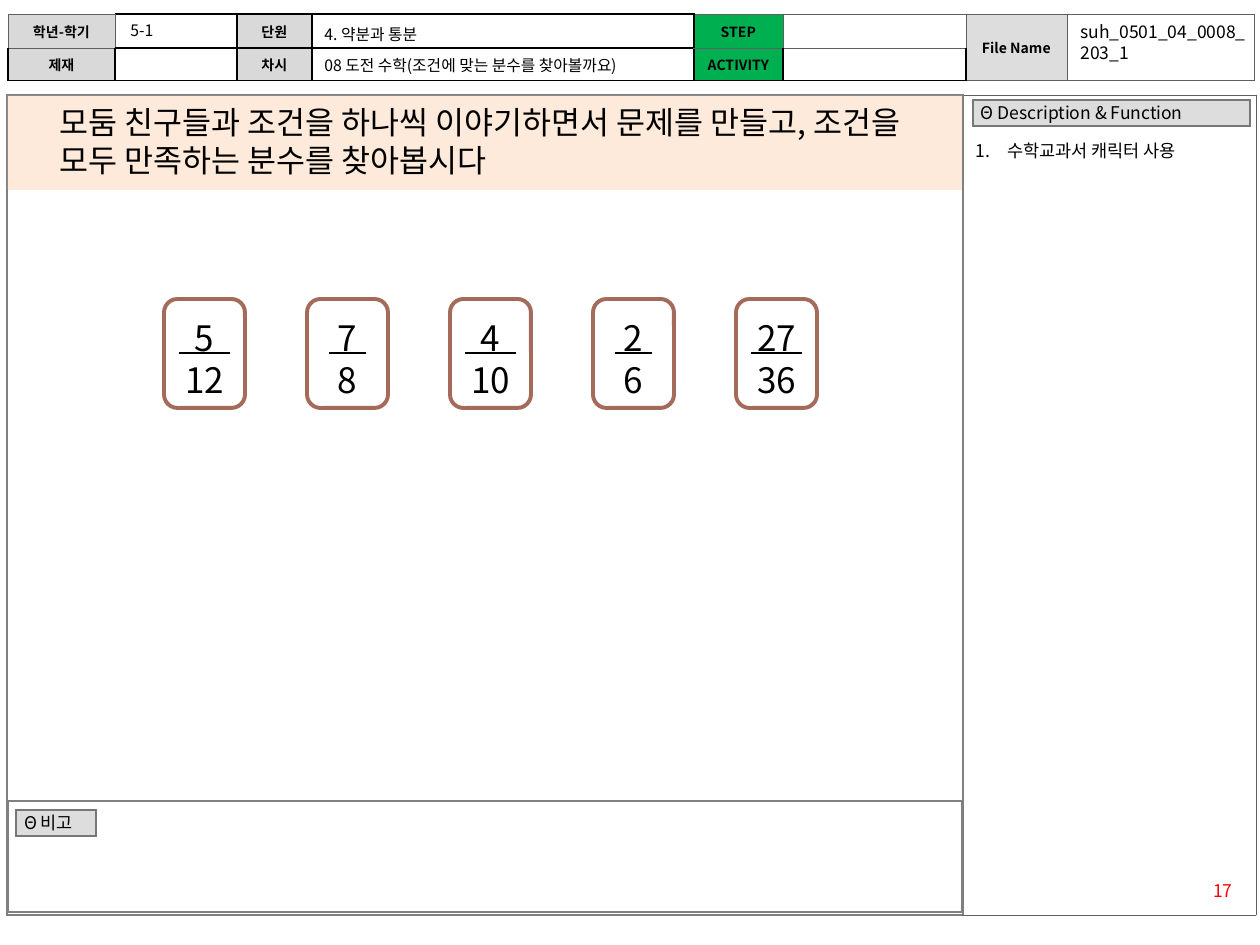
import pptx
import pptx.util
import pptx.dml.color
import pptx.enum.shapes
import pptx.enum.text
import pptx.oxml.ns
from lxml import etree

qn = pptx.oxml.ns.qn
ALIGN = pptx.enum.text.PP_ALIGN
MIDDLE = pptx.enum.text.MSO_ANCHOR.MIDDLE
SHAPE = pptx.enum.shapes.MSO_SHAPE
EMU_PER_PX = 914400 / 126
PLAIN_TABLE = "{2D5ABB26-0587-4C30-8999-92F81FD0307C}"


class Theme:
    font = "Noto Sans CJK KR"
    black, white, red = "000000", "FFFFFF", "FF0000"
    label, tag, green, peach, brown = "D9D9D9", "DDDDDD", "00B050", "FDEADA", "A46B5B"
    tiny, small, body, title, number = 8, 9, 10, 18, 20
    frame = ("808080", 1.5)
    tag_line = ("777777", 1)
    thin = ("5F5F5F", 0.25)
    rule = ("000000", 1)


def px(n):
    return pptx.util.Emu(round(n * EMU_PER_PX))


def rgb(value):
    return pptx.dml.color.RGBColor.from_string(value)


def write(tf, text, size, color=Theme.black, bold=False, **paragraph):
    p = tf.paragraphs[0]
    for name, value in paragraph.items():
        setattr(p, name, value)
    r = p.add_run()
    r.text = text
    for name, value in dict(size=pptx.util.Pt(size), name=Theme.font, bold=bold).items():
        setattr(r.font, name, value)
    r.font.color.rgb = rgb(color)
    etree.SubElement(r.font._element, qn("a:ea"), typeface=Theme.font)
    return p


def add_text(s, box, text, size, color=Theme.black, **paragraph):
    tf = s.shapes.add_textbox(*map(px, box)).text_frame
    tf.word_wrap = True
    return write(tf, text, size, color, **paragraph)


def add_panel(s, kind, box, fill, line=None):
    sp = s.shapes.add_shape(kind, *map(px, box))
    sp.shadow.inherit = False
    sp.fill.solid()
    sp.fill.fore_color.rgb = rgb(fill)
    if line:
        sp.line.color.rgb = rgb(line[0])
        sp.line.width = pptx.util.Pt(line[1])
    else:
        sp.line.fill.background()


def add_grid(s, x, y, cols, rows):
    """Add a table without a style, whose columns and rows have the given sizes."""
    table = s.shapes.add_table(len(rows), len(cols), px(x), px(y),
                               px(sum(cols)), px(sum(rows))).table
    table.first_row = table.horz_banding = False
    table._tbl.tblPr.find(qn("a:tableStyleId")).text = PLAIN_TABLE
    for col, width in zip(table.columns, cols):
        col.width = px(width)
    for row, height in zip(table.rows, rows):
        row.height = px(height)
    return table


def style_cell(cell, borders, fill=None, margins=(13, 6)):
    """Borders map the sides L, R, T and B to (colour, points)."""
    tc_pr = cell._tc.get_or_add_tcPr()
    for side in "LRTB":
        if side in borders:
            color, points = borders[side]
            ln = etree.SubElement(tc_pr, qn("a:ln" + side), w=str(pptx.util.Pt(points)))
            solid = etree.SubElement(ln, qn("a:solidFill"))
            etree.SubElement(solid, qn("a:srgbClr"), val=color)
    if fill:
        cell.fill.solid()
        cell.fill.fore_color.rgb = rgb(fill)
    else:
        cell.fill.background()
    cell.margin_left = cell.margin_right = px(margins[0])
    cell.margin_top = cell.margin_bottom = px(margins[1])


def shrink_empty(cell):
    end = etree.SubElement(cell.text_frame.paragraphs[0]._p, qn("a:endParaRPr"))
    end.set("sz", str(Theme.tiny * 100))


def sides(line, which="LRTB"):
    return dict.fromkeys(which, line)


def header(s, x, y):
    labels = {(0, 0): ("학년-학기", Theme.label), (1, 0): ("제재", Theme.label),
              (0, 2): ("단원", Theme.label), (1, 2): ("차시", Theme.label),
              (0, 4): ("STEP", Theme.green), (1, 4): ("ACTIVITY", Theme.green),
              (0, 6): ("File Name", Theme.tag)}
    thin_sides = {(0, 0): "LRTB", (0, 1): "L", (0, 4): "TRB", (0, 5): "LRTB",
                  (1, 0): "T", (1, 4): "T", (1, 5): "T"}
    cols, rows = (107, 122, 75, 382, 89, 183, 101, 187), (34, 31)
    table = add_grid(s, x, y, cols, rows)
    for i in range(len(rows)):
        for j in range(len(cols)):
            cell = table.cell(i, j)
            thin = "LRTB" if j > 5 else thin_sides.get((i, j), "")
            text, fill = labels.get((i, j), ("", None))
            style_cell(cell, sides(Theme.rule) | sides(Theme.thin, thin), fill)
            if text:
                cell.vertical_anchor = MIDDLE
                write(cell.text_frame, text, Theme.tiny, bold=True, alignment=ALIGN.CENTER)
            else:
                shrink_empty(cell)
    for j in (6, 7):
        table.cell(0, j).merge(table.cell(1, j))

    for box, text, size in (
            ((110, 1, 118, 30), "5-1", Theme.small),
            ((304, 5, 382, 20), "4. 약분과 통분", Theme.small),
            ((304, 36, 377, 30), "08 도전 수학(조건에 맞는 분수를 찾아볼까요)", Theme.small),
            ((1060, 1, 192, 55), "suh_0501_04_0008_203_1", Theme.body)):
        add_text(s, (x + box[0], y + box[1], *box[2:]), text, size)


def page_frame(s, x, y, cols, height):
    table = add_grid(s, x, y, cols, [height])
    style_cell(table.cell(0, 0), sides(Theme.frame))
    style_cell(table.cell(0, 1), sides(Theme.thin) | sides(Theme.frame, "L"))


def tag(s, x, y, width, text):
    cell = add_grid(s, x, y, [width], [26]).cell(0, 0)
    style_cell(cell, sides(Theme.tag_line), Theme.tag, (8, 1))
    cell.vertical_anchor = MIDDLE
    write(cell.text_frame, text, Theme.body, line_spacing=0.9)


def remarks(s, x, y, width, height):
    style_cell(add_grid(s, x, y, [width], [height]).cell(0, 0), sides(Theme.frame))
    tag(s, x + 8, y + 9, 80, "Θ 비고")


def description(s, x, y):
    tag(s, x + 10, y + 5, 277, "Θ Description & Function")
    p = add_text(s, (x, y + 39, 297, 77), "수학교과서 캐릭터 사용", Theme.body,
                 alignment=ALIGN.JUSTIFY)
    p_pr = p._p.get_or_add_pPr()
    p_pr.set("marL", str(px(32)))
    p_pr.set("indent", str(px(-32)))
    etree.SubElement(p_pr, qn("a:buFont"), typeface="+mj-lt")
    etree.SubElement(p_pr, qn("a:buAutoNum"), type="arabicPeriod")
    add_text(s, (x + 198, y + 779, 84, 34), "17", Theme.body, Theme.red,
             alignment=ALIGN.RIGHT)


def question(s, x, y, width, height):
    add_panel(s, SHAPE.RECTANGLE, (x, y, width, height), Theme.peach)
    add_text(s, (x + 39, y + 1, width - 39, height - 5),
             "모둠 친구들과 조건을 하나씩 이야기하면서 문제를 만들고, 조건을 모두 만족하는 분수를 찾아봅시다",
             Theme.title)


def fraction_card(s, x, y, width, height, top, bottom):
    add_panel(s, SHAPE.ROUNDED_RECTANGLE, (x, y, width, height), Theme.white,
              (Theme.brown, 2.25))
    bar = 51 if len(bottom) > 1 else 37
    table = add_grid(s, x + (width - bar) // 2, y + 12, [bar], (41, 43))
    for i, (text, side) in enumerate(((top, "B"), (bottom, "T"))):
        cell = table.cell(i, 0)
        style_cell(cell, sides(Theme.rule, side), margins=(0, 0))
        write(cell.text_frame, text, Theme.number, alignment=ALIGN.CENTER)


def fraction_row(s, x, y, pitch):
    fractions = ("5/12", "7/8", "4/10", "2/6", "27/36")
    for i, fraction in enumerate(fractions):
        fraction_card(s, x + i * pitch, y, 81, 109, *fraction.split("/"))


def main():
    prs = pptx.Presentation()
    prs.slide_width, prs.slide_height = px(1260), px(945)
    s = prs.slides.add_slide(prs.slide_layouts[6])
    page_frame(s, 7, 95, (956, 293), 820)
    header(s, 8, 14)
    remarks(s, 8, 801, 954, 111)
    question(s, 8, 96, 954, 94)
    description(s, 963, 95)
    fraction_row(s, 164, 299, 143)
    prs.save("out.pptx")


if __name__ == "__main__":
    main()
